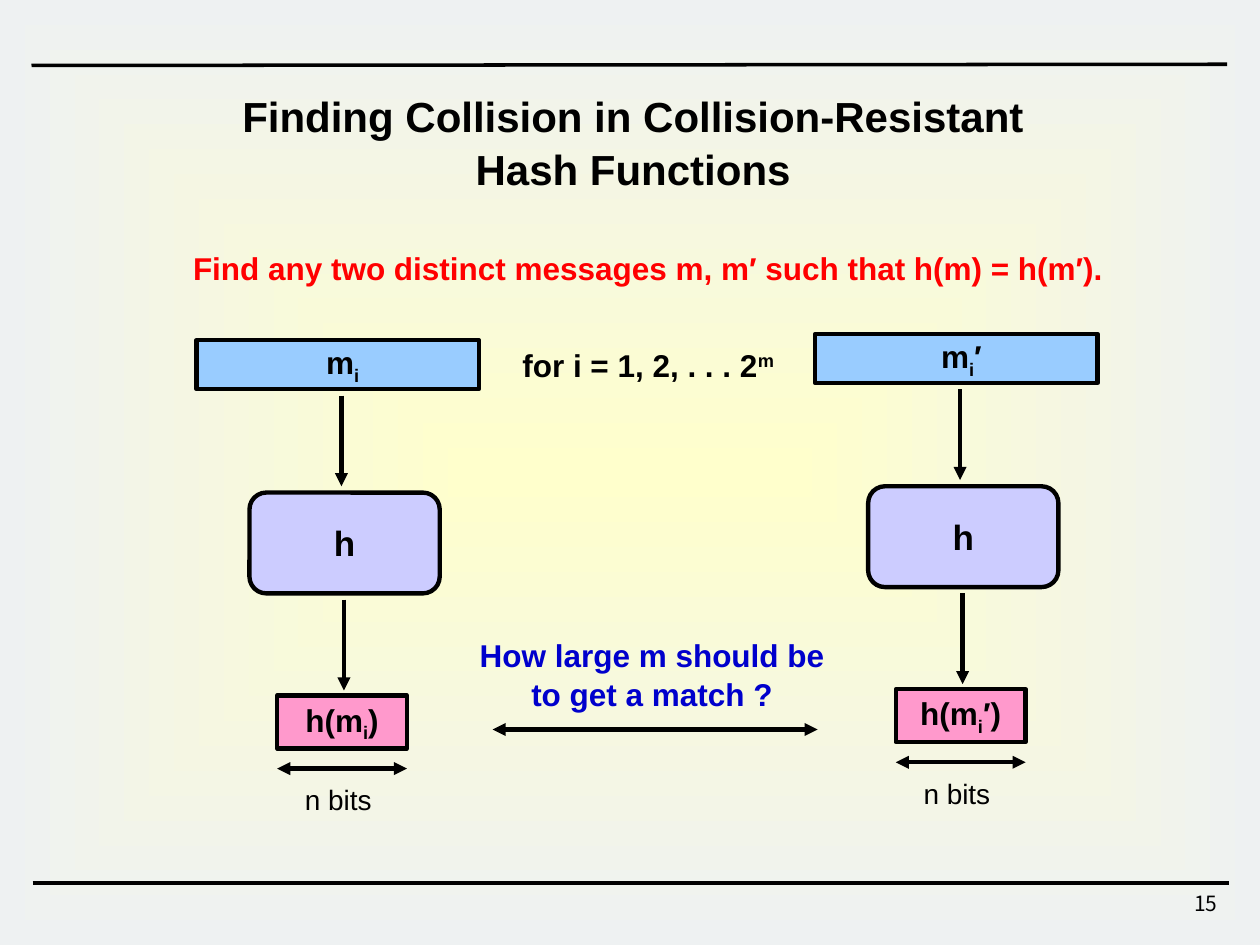
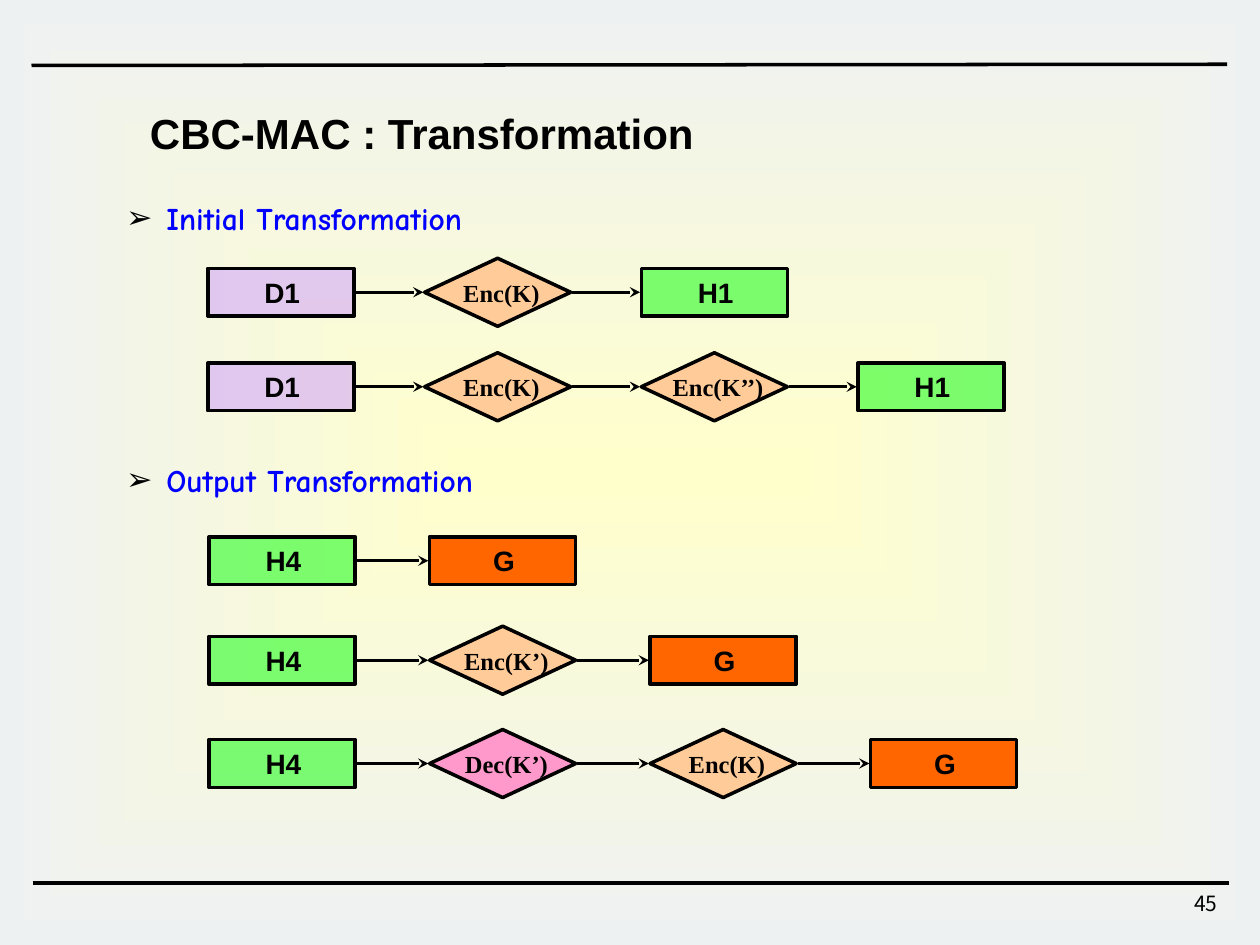
from lxml.etree import SubElement
from pptx import Presentation
from pptx.dml.color import RGBColor
from pptx.enum.shapes import MSO_CONNECTOR as Connector, MSO_SHAPE as Shape
from pptx.enum.text import MSO_ANCHOR as Anchor, MSO_AUTO_SIZE as AutoSize, PP_ALIGN as Align
from pptx.oxml.ns import qn
from pptx.util import Inches, Pt

BLACK = RGBColor(0x00, 0x00, 0x00)
RED = RGBColor(0xFF, 0x00, 0x00)
QUESTION_BLUE = RGBColor(0x00, 0x00, 0xCC)
HEADING_BLUE = RGBColor(0x00, 0x00, 0xFF)
CREAM = RGBColor(0xFF, 0xFF, 0xCC)
MIST = RGBColor(0xEE, 0xF1, 0xF2)
SKY = RGBColor(0x99, 0xCC, 0xFF)
LAVENDER = RGBColor(0xCC, 0xCC, 0xFF)
PINK = RGBColor(0xFF, 0x99, 0xCC)
VIOLET = RGBColor(0xCC, 0x99, 0xFF)
GREEN = RGBColor(0x00, 0xFF, 0x00)
PEACH = RGBColor(0xFF, 0xCC, 0x99)
ORANGE = RGBColor(0xFF, 0x66, 0x00)

SANS = "Arial"
SERIF = "Times New Roman"
HAND = "Comic Neue"
NUMBERS = "Noto Sans CJK KR"

STAGE_WIDTH = 1.16
STAGE_HEIGHTS = {Shape.RECTANGLE: 0.38, Shape.DIAMOND: 0.54}
DATA = (Shape.RECTANGLE, VIOLET, 50)
HASH = (Shape.RECTANGLE, GREEN, 50)
RESULT = (Shape.RECTANGLE, ORANGE, 100)
ENCRYPT = (Shape.DIAMOND, PEACH, 100)
DECRYPT = (Shape.DIAMOND, PINK, 100)


def place(shape, left, top, width, height):
    shape.left, shape.top = Inches(left), Inches(top)
    shape.width, shape.height = Inches(width), Inches(height)


def set_margins(frame, side, upright):
    frame.margin_left = frame.margin_right = Inches(side)
    frame.margin_top = frame.margin_bottom = Inches(upright)


def write_runs(paragraph, runs, size, color=BLACK, font=SANS, bold=True):
    for text, baseline in runs:
        run = paragraph.add_run()
        run.text = text
        run.font.size, run.font.name, run.font.bold = Pt(size), font, bold
        run.font.color.rgb = color
        if baseline:
            run.font._element.set("baseline", str(baseline * 1000))


def add_label(slide, box, runs, size, wrap=True, spacing=1.05, align=Align.CENTER, **style):
    label = slide.shapes.add_textbox(*map(Inches, box))
    frame = label.text_frame
    frame.word_wrap = wrap
    set_margins(frame, 0, 0)
    paragraph = frame.paragraphs[0]
    paragraph.alignment, paragraph.line_spacing = align, spacing
    write_runs(paragraph, runs, size, **style)
    return label


def add_node(slide, kind, box, fill, runs, size, line=2.5, opacity=100, nudge=0, font=SANS):
    node = slide.shapes.add_shape(kind, *map(Inches, box))
    node.shadow.inherit = False
    node.fill.solid()
    node.fill.fore_color.rgb = fill
    if opacity < 100:
        color = node.element.spPr.find(qn("a:solidFill")).find(qn("a:srgbClr"))
        SubElement(color, qn("a:alpha"), val=str(opacity * 1000))
    node.line.color.rgb, node.line.width = BLACK, Pt(line)
    frame = node.text_frame
    frame.word_wrap = False
    set_margins(frame, 0, 0)
    frame.margin_left = Inches(nudge)
    frame.vertical_anchor = Anchor.MIDDLE
    frame.paragraphs[0].alignment = Align.CENTER
    write_runs(frame.paragraphs[0], runs, size, font=font)


def add_line(slide, start, end, width=2.5, head=None, tail=None):
    line = slide.shapes.add_connector(Connector.STRAIGHT, *map(Inches, (*start, *end)))
    line.line.color.rgb, line.line.width = BLACK, Pt(width)
    outline = line.line._get_or_add_ln()
    for end_tag, arrow in (("a:headEnd", head), ("a:tailEnd", tail)):
        if arrow:
            SubElement(outline, qn(end_tag), type=arrow)
    SubElement(line.element.spPr, qn("a:effectLst"))
    return line


def set_title(slide, text, box, align):
    title = slide.shapes.title
    place(title, *box)
    frame = title.text_frame
    frame.auto_size, frame.word_wrap = AutoSize.NONE, True
    frame.vertical_anchor = Anchor.TOP
    set_margins(frame, 0.1, 0.05)
    paragraph = frame.paragraphs[0]
    paragraph.alignment, paragraph.line_spacing = align, 1.05
    write_runs(paragraph, [(text, 0)], 24)


def set_heading(body, text, top):
    place(body, 1, top, 3.44, 0.3)
    frame = body.text_frame
    frame.auto_size, frame.word_wrap = AutoSize.NONE, True
    set_margins(frame, 0, 0)
    paragraph = frame.paragraphs[0]
    properties = paragraph._p.get_or_add_pPr()
    properties.set("marL", str(Inches(0.32)))
    properties.set("indent", str(-Inches(0.32)))
    bullet_color = SubElement(properties, qn("a:buClr"))
    SubElement(bullet_color, qn("a:srgbClr"), val=str(BLACK))
    SubElement(properties, qn("a:buChar"), char="➢")
    paragraph.space_before = Pt(0)
    write_runs(paragraph, [(text, 0)], 18, HEADING_BLUE, HAND)


def add_page_number(slide, number):
    label = add_label(slide, (7.68, 7.02, 2.08, 0.33), [(str(number), 0)], 12,
                      spacing=1.0, align=Align.RIGHT, font=NUMBERS, bold=False)
    set_margins(label.text_frame, 0.1, 0.05)


def style_master(master, slide):
    fill = master.background.fill
    fill.gradient()
    for stop, color, position in zip(fill.gradient_stops, (CREAM, MIST), (0, 1)):
        stop.color.rgb, stop.position = color, position
    gradient = master.element.find(".//" + qn("a:gradFill"))
    gradient.remove(gradient.find(qn("a:lin")))
    shade = SubElement(gradient, qn("a:path"), path="rect")
    SubElement(shade, qn("a:fillToRect"), l="50000", t="50000", r="50000", b="50000")
    for start, end in (((0.25, 0.52), (9.74, 0.51)), ((0.26, 7.01), (9.75, 7.01))):
        rule = add_line(slide, start, end, 2)
        master.shapes.element.append(rule.element)


def add_hash_column(slide, left, top, prime):
    def box(x, y, width, height):
        return left + x, top + y, width, height

    def arrow(x1, y1, x2, y2, head=None):
        add_line(slide, (left + x1, top + y1), (left + x2, top + y2), head=head, tail="triangle")

    message = [("m", 0), ("i", -25)] + ([(prime, 0)] if prime else [])
    digest = [("h(m", 0), ("i", -25), (prime + ")", 0)]
    add_node(slide, Shape.RECTANGLE, box(0, 0, 2.24, 0.39), SKY, message, 18, nudge=0.08)
    arrow(1.15, 0.44, 1.15, 1.16)
    add_node(slide, Shape.ROUNDED_RECTANGLE, box(0.42, 1.21, 1.51, 0.8), LAVENDER, [("h", 0)], 20)
    arrow(1.17, 2.06, 1.17, 2.78)
    add_node(slide, Shape.RECTANGLE, box(0.64, 2.82, 1.03, 0.42), PINK, digest, 18)
    arrow(0.64, 3.4, 1.67, 3.4, head="triangle")
    add_label(slide, box(0.86, 3.5, 0.53, 0.27), [("n bits", 0)], 16, wrap=False, bold=False)


def add_chain(slide, left, step, middle, stages):
    for index, (text, (kind, fill, opacity)) in enumerate(stages):
        x = left + index * step
        height = STAGE_HEIGHTS[kind]
        is_cipher = kind == Shape.DIAMOND
        add_node(slide, kind, (x, middle - height / 2, STAGE_WIDTH, height), fill, [(text, 0)],
                 14 if is_cipher else 16, 2, opacity, 0.06 if is_cipher else 0.02,
                 SERIF if is_cipher else SANS)
        if index:
            add_line(slide, (x - step + STAGE_WIDTH + 0.01, middle), (x - 0.01, middle),
                     1.75, tail="stealth")


def build_collision_slide(slide):
    set_title(slide, "Finding Collision in Collision-Resistant Hash Functions",
              (1.4, 0.65, 7.25, 0.9), Align.CENTER)
    add_label(slide, (1.38, 1.92, 7.53, 0.36),
              [("Find any two distinct messages m, m′ such that h(m) = h(m′).", 0)], 18,
              spacing=1.2, color=RED)
    add_hash_column(slide, 1.56, 2.7, "")
    add_hash_column(slide, 6.47, 2.65, "′")
    add_label(slide, (4.11, 2.73, 2.07, 0.3),
              [("for i = 1, 2, . . . 2", 0), ("m", 30)], 18, wrap=False)
    add_line(slide, (3.91, 5.79), (6.49, 5.79), head="triangle", tail="triangle")
    add_label(slide, (3.68, 5.03, 2.99, 0.6),
              [("How large m should be to get a match ?", 0)], 18, color=QUESTION_BLUE)
    add_page_number(slide, 15)


def build_transformation_slide(slide):
    set_title(slide, "CBC-MAC : Transformation", (1.09, 0.78, 5.5, 0.5), Align.LEFT)
    set_heading(slide.placeholders[1], "Initial Transformation", 1.58)
    set_heading(slide.placeholders[2], "Output Transformation", 3.66)
    initial_chains = [
        (2.32, [("D1", DATA), ("Enc(K)", ENCRYPT), ("H1", HASH)]),
        (3.07, [("D1", DATA), ("Enc(K)", ENCRYPT), ("Enc(K’’)", ENCRYPT), ("H1", HASH)]),
    ]
    output_chains = [
        (4.45, [("H4", HASH), ("G", RESULT)]),
        (5.24, [("H4", HASH), ("Enc(K’)", ENCRYPT), ("G", RESULT)]),
        (6.06, [("H4", HASH), ("Dec(K’)", DECRYPT), ("Enc(K)", ENCRYPT), ("G", RESULT)]),
    ]
    for left, step, chains in ((1.65, 1.72, initial_chains), (1.66, 1.75, output_chains)):
        for middle, stages in chains:
            add_chain(slide, left, step, middle, stages)
    add_page_number(slide, 45)


def main():
    deck = Presentation()
    deck.slide_width, deck.slide_height = Inches(10), Inches(7.5)
    collision = deck.slides.add_slide(deck.slide_layouts.get_by_name("Title Only"))
    transformation = deck.slides.add_slide(deck.slide_layouts.get_by_name("Two Content"))
    style_master(deck.slide_master, collision)
    build_collision_slide(collision)
    build_transformation_slide(transformation)
    deck.save("out.pptx")


if __name__ == "__main__":
    main()
